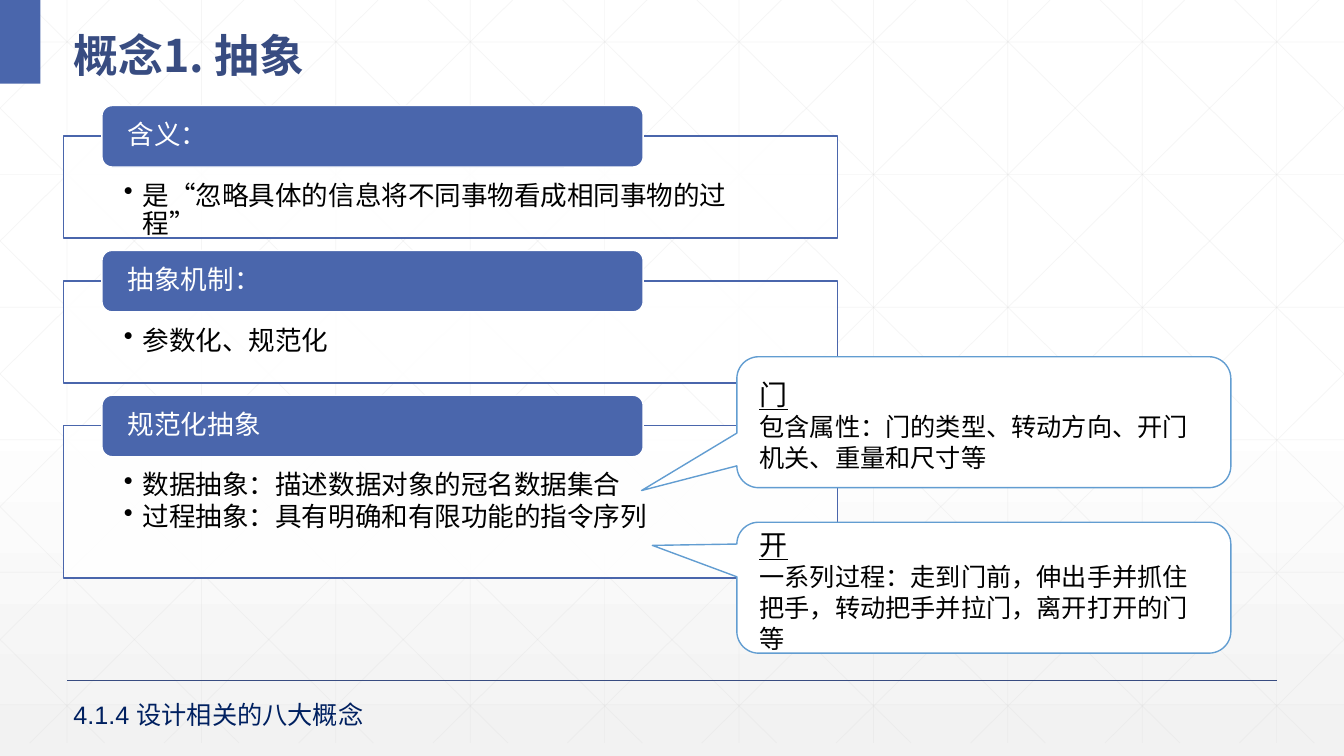
from lxml.etree import SubElement
from pptx import Presentation
from pptx.dml.color import RGBColor
from pptx.enum.shapes import MSO_CONNECTOR as Connector, MSO_SHAPE as Shape
from pptx.enum.text import MSO_ANCHOR as Anchor, PP_ALIGN as Align
from pptx.oxml.ns import qn
from pptx.util import Cm, Pt

WHITE = RGBColor(0xFF, 0xFF, 0xFF)
BLACK = RGBColor(0, 0, 0)
PALE_GREY = RGBColor(0xF2, 0xF2, 0xF2)
GRID_GREY = RGBColor(0xD9, 0xD9, 0xD9)
BLUE = RGBColor(0x4A, 0x66, 0xAC)
DARK_BLUE = RGBColor(0x38, 0x4C, 0x81)
SKY_BLUE = RGBColor(0x62, 0x9D, 0xD1)
NAVY = RGBColor(0, 0x20, 0x60)
LATIN_FONT = "Arial"
CHINESE_FONT = "Noto Sans CJK SC"

WIDTH, HEIGHT = 33.87, 19.05
GRID_HEIGHT = 18.72

PANELS = [
    ("含义：", ["是“忽略具体的信息将不同事物看成相同事物的过程”"], 2.57),
    ("抽象机制：", ["参数化、规范化"], 2.57),
    ("规范化抽象", ["数据抽象：描述数据对象的冠名数据集合",
               "过程抽象：具有明确和有限功能的指令序列"], 3.84),
]
CALLOUTS = [
    (8.99, (-0.693, 0.522), "门", "包含属性：门的类型、转动方向、开门机关、重量和尺寸等"),
    (13.16, (-0.671, -0.323), "开",
     "一系列过程：走到门前，伸出手并抓住把手，转动把手并拉门，离开打开的门等"),
]


def set_alpha(fill_parent, percent):
    color = next(fill_parent.iter(qn("a:srgbClr")))
    SubElement(color, qn("a:alpha"), val=str(percent * 1000))


def add_line(slide, start, end, color, width, alpha=100):
    line = slide.shapes.add_connector(Connector.STRAIGHT, *map(Cm, start + end))
    line.line.color.rgb = color
    line.line.width = Pt(width)
    properties = line._element.spPr
    if alpha < 100:
        set_alpha(properties, alpha)
    SubElement(properties, qn("a:effectLst"))


def add_box(slide, kind, box, fill, line=None):
    shape = slide.shapes.add_shape(kind, *map(Cm, box))
    shape.shadow.inherit = False
    shape.fill.solid()
    shape.fill.fore_color.rgb = fill
    if line is None:
        shape.line.fill.background()
    else:
        shape.line.color.rgb = line
        shape.line.width = Pt(1)
    return shape


def set_frame(frame, anchor, margins=(0.25, 0.13, 0.25, 0.13)):
    frame.word_wrap = True
    frame.vertical_anchor = anchor
    (frame.margin_left, frame.margin_top,
     frame.margin_right, frame.margin_bottom) = map(Cm, margins)


def write_lines(frame, lines, size, color, spacing, latin=LATIN_FONT, bullet=False):
    for index, text in enumerate(lines):
        paragraph = frame.paragraphs[0] if index == 0 else frame.add_paragraph()
        paragraph.text = text
        paragraph.alignment = Align.LEFT
        properties = paragraph._p.get_or_add_pPr()
        if bullet:
            properties.set("marL", str(Cm(0.48)))
            properties.set("indent", str(-Cm(0.48)))
            SubElement(properties, qn("a:buChar"), char="•")
            paragraph.space_after = Pt(2.85)
        paragraph.line_spacing = spacing
        font = paragraph.font
        font.name, font.size = latin, Pt(size)
        font.color.rgb = color
        SubElement(properties.find(qn("a:defRPr")), qn("a:ea"), typeface=CHINESE_FONT)


def clipped_diagonal(top_x, run):
    """Ends of a slanted line through (top_x, 0), cut at the slide's sides."""
    ends = []
    for x in (top_x, top_x + run):
        inside = min(max(x, 0), WIDTH)
        ends.append((inside, (inside - top_x) / run * GRID_HEIGHT))
    return ends


def draw_background(slide):
    fill = slide.background.fill
    fill.gradient()
    fill.gradient_angle = 270
    for stop, position, color in zip(fill.gradient_stops, (0.53, 1), (WHITE, PALE_GREY)):
        stop.position = position
        stop.color.rgb = color

    step, run = WIDTH / 10, 18.94
    columns = [1.69 + step * i for i in range(10)]
    rows = [1.06 + 3.34 * i for i in range(6)]
    lines = [((x, 0), (x, GRID_HEIGHT)) for x in columns]
    lines += [((0, y), (WIDTH, y)) for y in rows]
    lines += [clipped_diagonal(0.63 + step * i, run) for i in range(-5, 10)]
    lines += [clipped_diagonal(33.24 - step * i, -run) for i in range(-5, 10)]
    for start, end in lines:
        add_line(slide, start, end, GRID_GREY, 0.5, alpha=25)


def draw_title(slide, box):
    add_box(slide, Shape.RECTANGLE, (0, 0, 1.02, 2.11), BLUE)
    frame = slide.shapes.add_textbox(*map(Cm, box)).text_frame
    set_frame(frame, Anchor.MIDDLE)
    write_lines(frame, ["概念1. 抽象"], 32, DARK_BLUE, 1.3, latin=CHINESE_FONT)
    frame.paragraphs[0].font.bold = True


def draw_panel(slide, box, heading, points):
    left, top, width, height = box
    body = add_box(slide, Shape.RECTANGLE, box, WHITE, BLUE)
    set_alpha(body._element.spPr, 90)
    set_frame(body.text_frame, Anchor.TOP, (1.52, 1.17, 1.52, 0))
    write_lines(body.text_frame, points, 19, BLACK, Pt(20), bullet=True)

    header_box = (left + 0.97, top - 0.77, 13.64, 1.55)
    header = add_box(slide, Shape.ROUNDED_RECTANGLE, header_box, BLUE, WHITE)
    set_frame(header.text_frame, Anchor.MIDDLE, (0.58, 0, 0.58, 0))
    write_lines(header.text_frame, [heading], 19, WHITE, 0.9)


def draw_panels(slide, left, top, width):
    for heading, points, height in PANELS:
        draw_panel(slide, (left, top, width, height), heading, points)
        top += height + 1.08


def draw_callout(slide, box, tip, heading, text):
    callout = add_box(slide, Shape.ROUNDED_RECTANGULAR_CALLOUT, box, WHITE, SKY_BLUE)
    for index, value in enumerate(tip):
        callout.adjustments[index] = value
    frame = callout.text_frame
    set_frame(frame, Anchor.MIDDLE, (0.41, 0.33, 0.41, 0.13))
    write_lines(frame, [heading, text], 18, BLACK, Pt(22))
    frame.paragraphs[0].font.size = Pt(20)
    frame.paragraphs[0].font.underline = True


def draw_footer(slide, box):
    add_line(slide, (1.69, 17.15), (32.18, 17.15), DARK_BLUE, 1)
    frame = slide.shapes.add_textbox(*map(Cm, box)).text_frame
    set_frame(frame, Anchor.TOP)
    write_lines(frame, ["4.1.4 设计相关的八大概念"], 18, NAVY, Pt(23))


def main():
    presentation = Presentation()
    presentation.slide_width, presentation.slide_height = Cm(WIDTH), Cm(HEIGHT)
    slide = presentation.slides.add_slide(presentation.slide_layouts[6])
    draw_background(slide)
    draw_title(slide, (1.6, 0.25, 31.55, 1.85))
    draw_panels(slide, 1.6, 3.43, 19.51)
    for top, tip, heading, text in CALLOUTS:
        draw_callout(slide, (18.57, top, 12.45, 3.3), tip, heading, text)
    draw_footer(slide, (1.6, 17.45, 9.6, 1.02))
    presentation.save("out.pptx")


if __name__ == "__main__":
    main()
